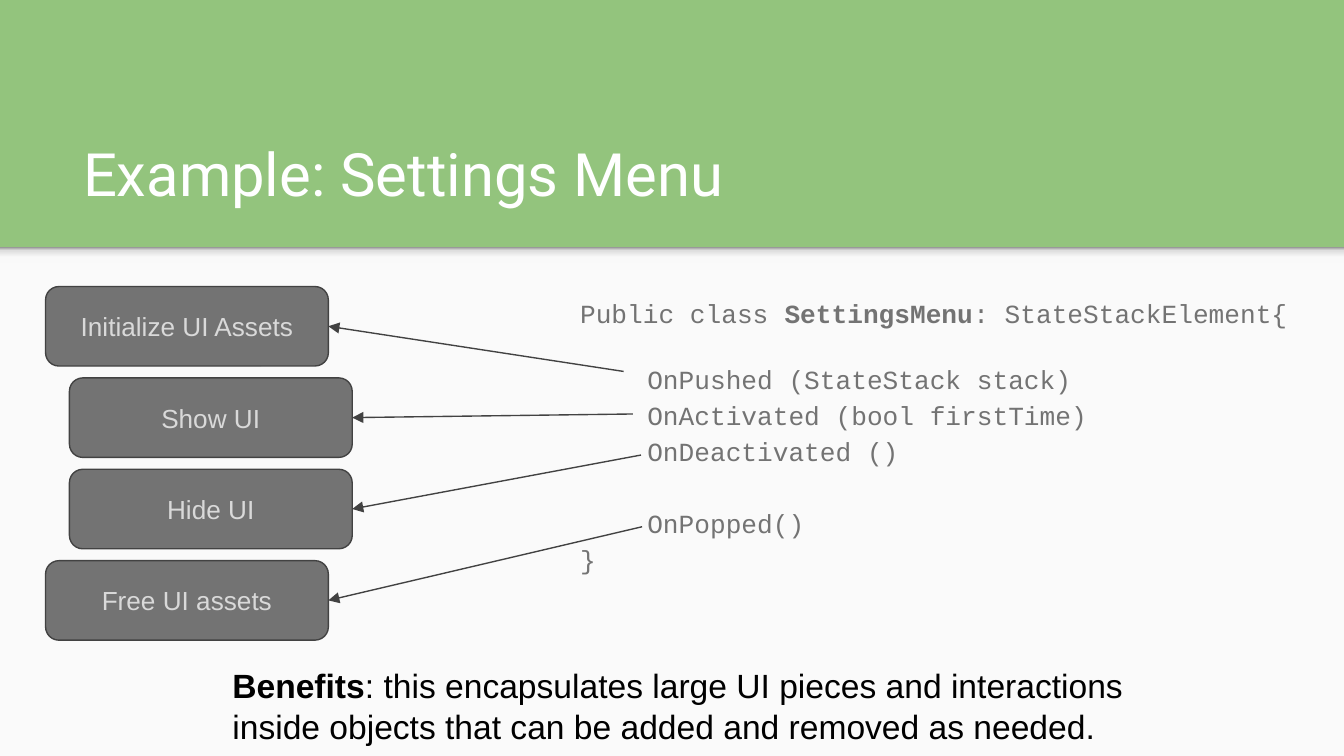
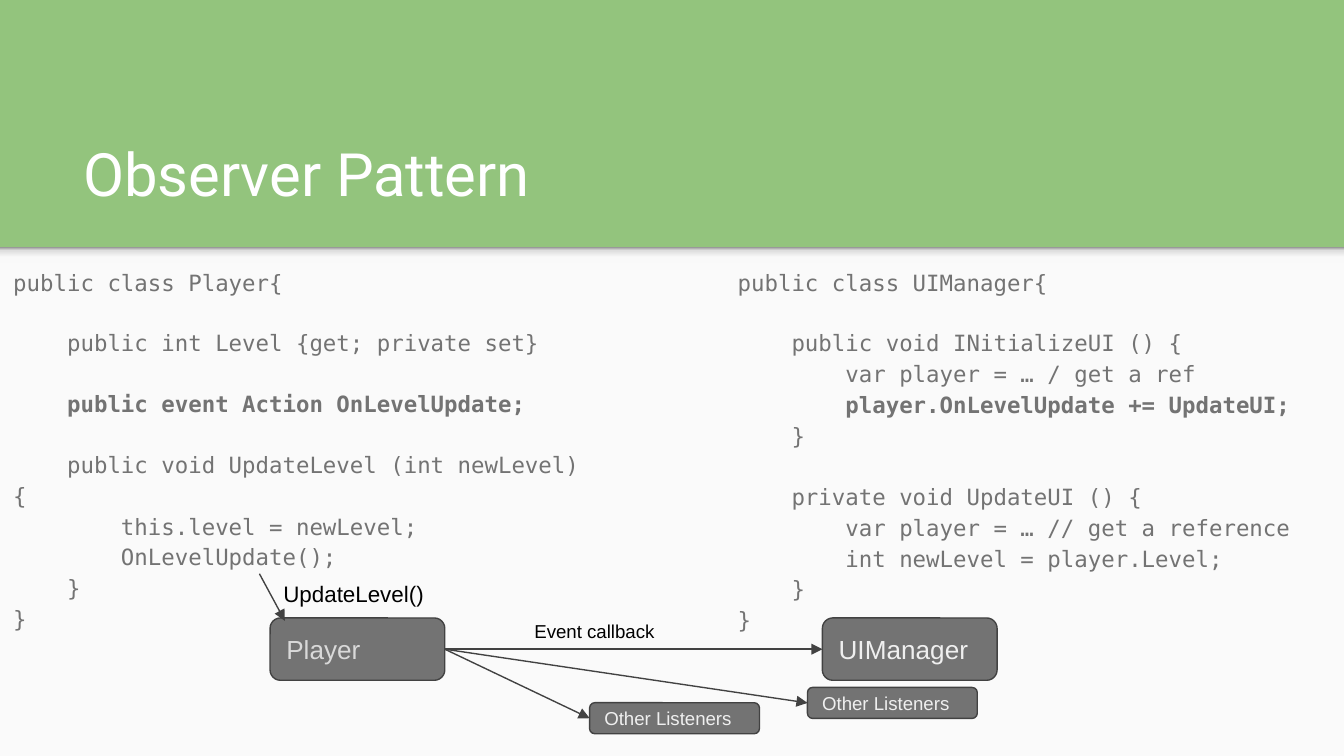
from copy import deepcopy

from lxml.etree import SubElement
from pptx import Presentation
from pptx.dml.color import RGBColor
from pptx.enum.shapes import MSO_CONNECTOR, MSO_SHAPE
from pptx.enum.text import MSO_ANCHOR, PP_ALIGN
from pptx.oxml.ns import qn
from pptx.util import Pt

SLIDE_SIZE = (720, 405)
HEADER_HEIGHT = 132.5
INSET = 7.2
GREEN, PAPER, GRAY, OUTLINE = "93C47D", "FAFAFA", "737373", "424242"
WHITE, BLACK, SILVER, MIST = "FFFFFF", "000000", "D9D9D9", "EFEFEF"
SHADE_STOPS = [(0, "F9F9F9"), (0.36, "F9F9F9"), (0.8, "DEDEDE"), (1, "999999")]

TITLE = {"name": "Roboto", "size": Pt(32), "color": WHITE}
MENU_CODE = {"name": "Courier New", "size": Pt(14), "color": GRAY}
CLASS_CODE = {"name": "DejaVu Sans Mono", "size": Pt(12), "color": GRAY}
BOX_LABEL = {"name": "Arial", "size": Pt(14), "color": SILVER}
MANAGER_LABEL = {**BOX_LABEL, "color": MIST}
LISTENER_LABEL = {**MANAGER_LABEL, "size": Pt(10)}
BENEFITS = {"name": "Arial", "size": Pt(18), "color": BLACK}
CALL_LABEL = {**BENEFITS, "size": Pt(12)}
EVENT_LABEL = {**BENEFITS, "size": Pt(10)}

MENU_LINES = [
    (0, [("Public class ", False), ("SettingsMenu", True), (": StateStackElement{", False)]),
    (16, [("\tOnPushed (StateStack stack)\n\tOnActivated (bool firstTime)\n\tOnDeactivated ()", False)]),
    (19.3, [("\tOnPopped()\n}", False)]),
]
MENU_STEPS = [
    ("Initialize UI Assets", 24.4, (334.1, 199)),
    ("Show UI", 37.2, (339.1, 221.8)),
    ("Hide UI", 37.2, (343.4, 243.8)),
    ("Free UI assets", 24.4, (344, 282.2)),
]
BENEFITS_TEXT = [(0, [
    ("Benefits", True),
    (": this encapsulates large UI pieces and interactions inside objects "
     "that can be added and removed as needed.", False),
])]

PLAYER_LINES = [
    (0, [("public class Player{", False)]),
    (16, [("    public int Level {get; private set}", False)]),
    (16, [("    public event Action OnLevelUpdate;", True)]),
    (16, [("    public void UpdateLevel (int newLevel) {\n"
           "        this.level = newLevel;\n"
           "        OnLevelUpdate();\n"
           "    }\n"
           "}", False)]),
]
MANAGER_LINES = [
    (0, [("public class UIManager{", False)]),
    (16, [("    public void INitializeUI () {\n"
           "        var player = … / get a ref\n", False),
          ("        player.OnLevelUpdate += UpdateUI;\n", True),
          ("    }", False)]),
    (16, [("    private void UpdateUI () {\n"
           "        var player = … // get a reference\n"
           "        int newLevel = player.Level;\n"
           "    }\n"
           "}", False)]),
]
CODE_COLUMNS = [(0, PLAYER_LINES), (388.1, MANAGER_LINES)]
PLAYER_BOX = (144.7, 331.1, 93.6, 33.4)
LISTENERS = [
    ("UIManager", (440.6, 331.1, 93.6, 33.4), MANAGER_LABEL),
    ("Other Listeners", (432.6, 368.3, 91, 16.6), LISTENER_LABEL),
    ("Other Listeners", (315.9, 376.5, 91, 16.6), LISTENER_LABEL),
]
EVENT_CAPTIONS = [
    ("UpdateLevel()", (144.7, 303.4, 108.7, 28), CALL_LABEL),
    ("Event callback", (279.2, 326.1, 80.6, 21.6), EVENT_LABEL),
]
CALL_ARROW = ((139, 307.4), (152.6, 332.6))


def rgb(color):
    return RGBColor.from_string(color)


def points(values):
    return [Pt(value) for value in values]


def assign(target, values):
    for name, value in values.items():
        setattr(target, name, value)


def plain(text):
    return [(0, [(text, False)])]


def write(shape, content, style, anchor=MSO_ANCHOR.TOP, align=PP_ALIGN.LEFT, line_spacing=1.0):
    frame = shape.text_frame
    margins = {f"margin_{side}": Pt(INSET) for side in ("left", "top", "right", "bottom")}
    assign(frame, {**margins, "word_wrap": True, "vertical_anchor": anchor})
    for index, (space, runs) in enumerate(content):
        paragraph = frame.add_paragraph() if index else frame.paragraphs[0]
        assign(paragraph, {"alignment": align, "line_spacing": line_spacing, "space_before": Pt(space)})
        for text, bold in runs:
            for number, line in enumerate(text.split("\n")):
                if number:
                    paragraph.add_line_break()
                if line:
                    run = paragraph.add_run()
                    run.text = line
                    assign(run.font, {"name": style["name"], "size": style["size"], "bold": bold})
                    run.font.color.rgb = rgb(style["color"])
        assign(paragraph.font, {"name": style["name"], "size": style["size"]})


def add_text(slide, place, content, style, **layout):
    write(slide.shapes.add_textbox(*points(place)), content, style, **layout)


def add_panel(slide, kind, place, color):
    shape = slide.shapes.add_shape(kind, *points(place))
    shape.shadow.inherit = False
    shape.fill.solid()
    shape.fill.fore_color.rgb = rgb(color)
    shape.line.fill.background()
    return shape


def add_box(slide, place, label, style, align=PP_ALIGN.LEFT):
    shape = add_panel(slide, MSO_SHAPE.ROUNDED_RECTANGLE, place, GRAY)
    shape.adjustments[0] = 0.167
    shape.line.color.rgb = rgb(OUTLINE)
    shape.line.width = Pt(0.75)
    write(shape, plain(label), style, MSO_ANCHOR.MIDDLE, align)


def add_arrow(slide, start, end):
    connector = slide.shapes.add_connector(MSO_CONNECTOR.STRAIGHT, *points(start + end))
    connector.line.color.rgb = rgb(OUTLINE)
    connector.line.width = Pt(0.75)
    properties = connector._element.spPr
    SubElement(properties.find(qn("a:ln")), qn("a:tailEnd"), type="triangle")
    SubElement(properties, qn("a:effectLst"))


def left_middle(place):
    left, top, width, height = place
    return left, top + height / 2


def right_middle(place):
    left, top, width, height = place
    return left + width, top + height / 2


def add_header_shade(slide):
    shade = add_panel(slide, MSO_SHAPE.RECTANGLE, (0, HEADER_HEIGHT, SLIDE_SIZE[0], 8.6), PAPER)
    shade.fill.gradient()
    shade.fill.gradient_angle = 90
    stop_list = next(shade._element.iter(qn("a:gsLst")))
    while len(stop_list) < len(SHADE_STOPS):
        stop_list.append(deepcopy(stop_list[0]))
    for stop, (position, color) in zip(shade.fill.gradient_stops, SHADE_STOPS):
        stop.position = position
        stop.color.rgb = rgb(color)


def add_slide(presentation, title):
    slide = presentation.slides.add_slide(presentation.slide_layouts[6])
    slide.background.fill.solid()
    slide.background.fill.fore_color.rgb = rgb(GREEN)
    width, height = SLIDE_SIZE
    add_panel(slide, MSO_SHAPE.RECTANGLE, (0, HEADER_HEIGHT, width, height - HEADER_HEIGHT), PAPER)
    add_header_shade(slide)
    add_text(slide, (37.4, 58.3, 647.3, 60.5), plain(title), TITLE, anchor=MSO_ANCHOR.BOTTOM)
    return slide


def add_settings_menu(presentation):
    slide = add_slide(presentation, "Example: Settings Menu")
    add_text(slide, (303.7, 149.8, 406.1, 164.9), MENU_LINES, MENU_CODE, line_spacing=1.15)
    for index, (label, left, code_point) in enumerate(MENU_STEPS):
        place = (left, 153.5 + 48.95 * index, 151.5, 42.6)
        add_box(slide, place, label, BOX_LABEL, PP_ALIGN.CENTER)
        add_arrow(slide, code_point, right_middle(place))
    add_text(slide, (117.4, 349.2, 534.2, 47.5), BENEFITS_TEXT, BENEFITS)


def add_observer_pattern(presentation):
    slide = add_slide(presentation, "Observer Pattern")
    for left, lines in CODE_COLUMNS:
        add_text(slide, (left, 134.6, 331.9, 213.1), lines, CLASS_CODE, line_spacing=1.15)
    add_box(slide, PLAYER_BOX, "Player", BOX_LABEL)
    for label, place, style in LISTENERS:
        add_box(slide, place, label, style)
        add_arrow(slide, right_middle(PLAYER_BOX), left_middle(place))
    for label, place, style in EVENT_CAPTIONS:
        add_text(slide, place, plain(label), style)
    add_arrow(slide, *CALL_ARROW)


def main():
    presentation = Presentation()
    presentation.slide_width, presentation.slide_height = points(SLIDE_SIZE)
    add_settings_menu(presentation)
    add_observer_pattern(presentation)
    presentation.save("out.pptx")


if __name__ == "__main__":
    main()
